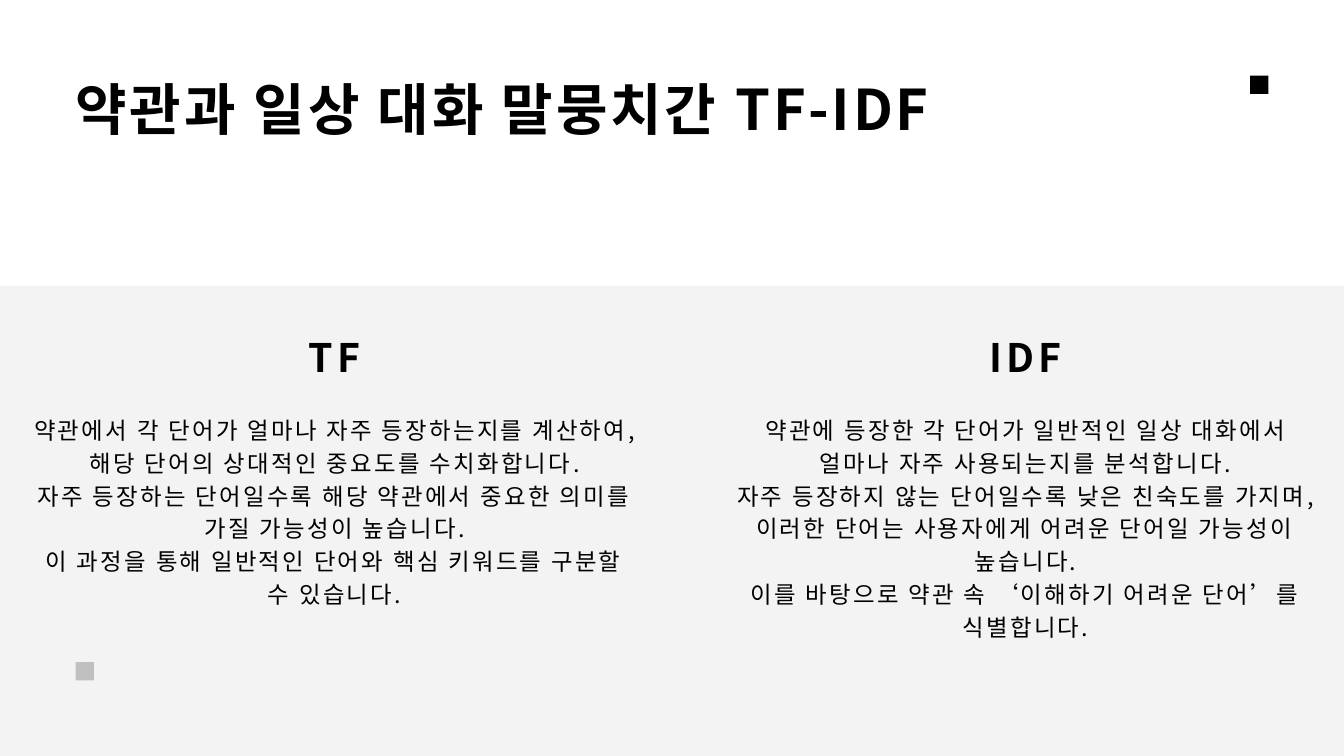
from dataclasses import dataclass

from pptx import Presentation
from pptx.dml.color import RGBColor
from pptx.enum.shapes import MSO_SHAPE as Shape
from pptx.enum.text import MSO_ANCHOR as Anchor, MSO_AUTO_SIZE as AutoSize, PP_ALIGN as Align
from pptx.oxml.ns import qn
from pptx.util import Emu, Pt
from lxml.etree import SubElement

PX = 9525  # EMU in one px
PAGE_W, PAGE_H = 1920, 1080


@dataclass(frozen=True)
class Theme:
    font: str = "Noto Sans CJK KR"
    ink: str = "000000"
    panel: str = "F2F1F1"
    panel_opacity: int = 80  # percent
    # type styles: size, line height, letter spacing (points)
    title: tuple = (60, 84, 3)
    heading: tuple = (42, 58.8, 4.2)
    body: tuple = (25.1, 35.1, 2.5)


THEME = Theme()

TITLE = "약관과 일상 대화 말뭉치간 TF-IDF"
TF_LINES = [
    "약관에서 각 단어가 얼마나 자주 등장하는지를 계산하여,",
    "해당 단어의 상대적인 중요도를 수치화합니다.",
    "자주 등장하는 단어일수록 해당 약관에서 중요한 의미를 가질 가능성이 높습니다.",
    "이 과정을 통해 일반적인 단어와 핵심 키워드를 구분할 수 있습니다.",
]
IDF_LINES = [
    "약관에 등장한 각 단어가 일반적인 일상 대화에서",
    "얼마나 자주 사용되는지를 분석합니다.",
    "자주 등장하지 않는 단어일수록 낮은 친숙도를 가지며,",
    "이러한 단어는 사용자에게 어려운 단어일 가능성이 높습니다.",
    "이를 바탕으로 약관 속 ‘이해하기 어려운 단어’를 식별합니다.",
]


def place(shape, box):
    shape.left, shape.top, shape.width, shape.height = (Emu(v * PX) for v in box)


def write(shape, lines, box, style, bold=False, align=Align.CENTER, wrap=True):
    """Move a placeholder to its box and fill it with formatted paragraphs."""
    place(shape, box)
    size, line_height, tracking = style
    frame = shape.text_frame
    frame.auto_size = AutoSize.NONE
    frame.word_wrap = wrap
    frame.vertical_anchor = Anchor.TOP
    frame.margin_left = frame.margin_top = frame.margin_right = frame.margin_bottom = 0
    for number, line in enumerate(lines):
        para = frame.add_paragraph() if number else frame.paragraphs[0]
        props = para._p.get_or_add_pPr()
        props.set("marL", "0")
        props.set("indent", "0")
        SubElement(props, qn("a:buNone"))
        para.alignment = align
        para.line_spacing = Pt(line_height)
        para.space_before = para.space_after = Pt(0)
        span = para.add_run()
        span.text = line
        font = span.font
        font.size, font.bold, font.name = Pt(size), bold, THEME.font
        font.color.rgb = RGBColor.from_string(THEME.ink)
        span_props = span._r.get_or_add_rPr()
        span_props.set("spc", str(round(tracking * 100)))
        SubElement(span_props, qn("a:ea")).set("typeface", THEME.font)


def block(page, box, colour, opacity=100):
    """Draw a plain rectangle behind everything placed so far."""
    shape = page.shapes.add_shape(Shape.RECTANGLE, 0, 0, 0, 0)
    place(shape, box)
    shape.shadow.inherit = False
    shape.line.fill.background()
    shape.fill.solid()
    shape.fill.fore_color.rgb = RGBColor.from_string(colour)
    if opacity < 100:
        tint = shape._element.spPr.find(".//" + qn("a:srgbClr"))
        SubElement(tint, qn("a:alpha")).set("val", str(opacity * 1000))
    shape._element.getparent().insert(2, shape._element)


def backdrop(page, box):
    """Translucent lower panel, with one marker above it and one beneath it."""
    left, top, width, height = box
    margin, marker = 108, 26
    panel_top = top + 408
    block(page, (left, panel_top, width, top + height - panel_top),
          THEME.panel, THEME.panel_opacity)
    corners = [(left + width - margin - marker, top + margin),
               (left + margin, top + height - margin - marker)]
    for x, y in corners:
        block(page, (x, y, marker, marker), THEME.ink)


def column(heading, body, box, name, name_width, lines):
    """Centred heading with its explanation below."""
    left, top, width, height = box
    body_offset = 123
    write(heading, [name], (left + (width - name_width) // 2, top, name_width, 72),
          THEME.heading, bold=True, wrap=False)
    write(body, lines, (left, top + body_offset, width, height - body_offset), THEME.body)


def main():
    deck = Presentation()
    deck.slide_width, deck.slide_height = Emu(PAGE_W * PX), Emu(PAGE_H * PX)
    page = deck.slides.add_slide(deck.slide_layouts.get_by_name("Comparison"))
    title, tf_head, tf_body, idf_head, idf_body = page.placeholders

    write(title, [TITLE], (108, 91, 1630, 103), THEME.title, bold=True, align=Align.LEFT)
    column(tf_head, tf_body, (44, 465, 868, 448), "TF", 74, TF_LINES)
    column(idf_head, idf_body, (1031, 465, 868, 495), "IDF", 110, IDF_LINES)
    backdrop(page, (0, 0, PAGE_W, PAGE_H))

    deck.save("out.pptx")


if __name__ == "__main__":
    main()
